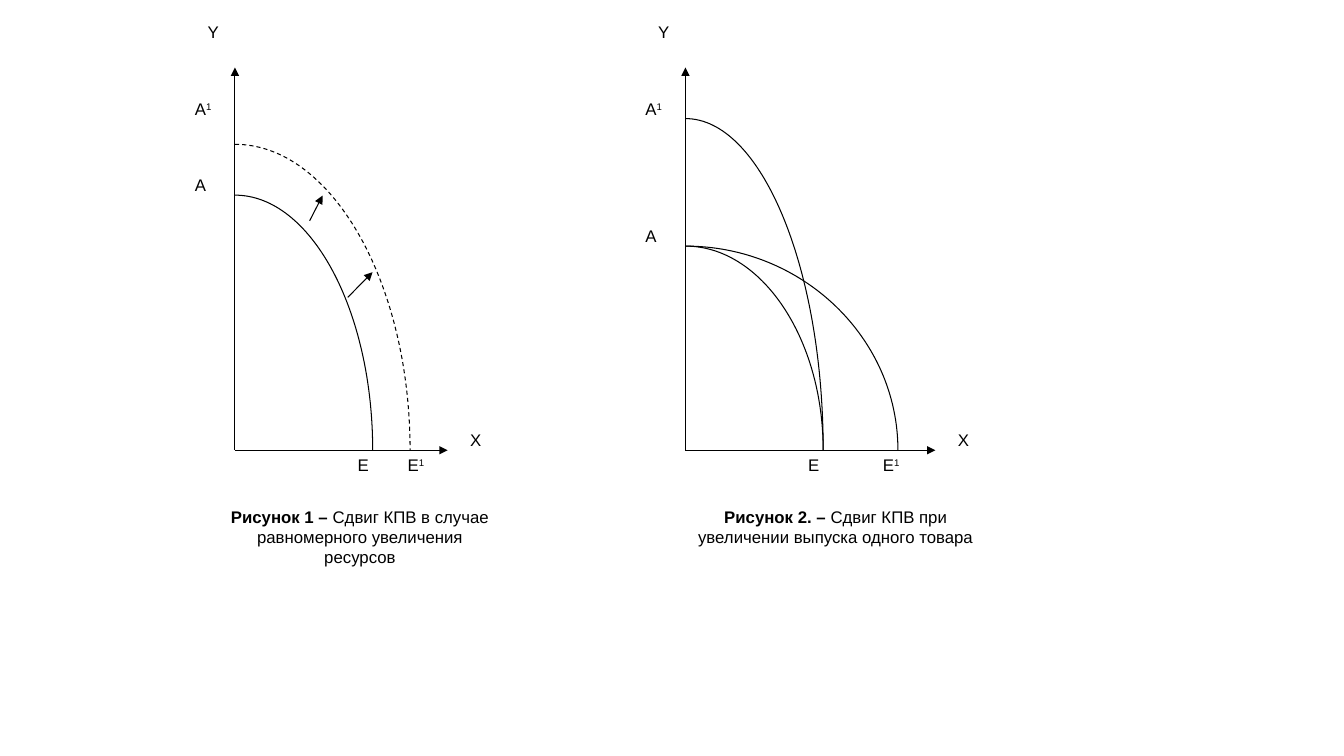
from lxml import etree
from pptx import Presentation
from pptx.dml.color import RGBColor
from pptx.enum import dml, shapes, text
from pptx.oxml import ns
from pptx.util import Pt

INK = RGBColor.from_string("000000")
BASE, TIP = 321.6, 48.2
BEND = 0.55  # handle length of a quarter ellipse

deck = Presentation()
deck.slide_width, deck.slide_height = Pt(960), Pt(540)
slide = deck.slides.add_slide(deck.slide_layouts[6])


def add_text(parts, x, y, w, h, align=text.PP_ALIGN.LEFT):
    box = slide.shapes.add_textbox(Pt(x), Pt(y), Pt(w), Pt(h))
    box.text_frame.word_wrap = True
    para = box.text_frame.paragraphs[0]
    para.alignment = align
    for part in parts:
        run = para.add_run()
        run.text = part
        run.font.name, run.font.size = "Arial", Pt(12)
        run.font.color.rgb = INK
    return para.runs


def add_arrow(x1, y1, x2, y2):
    arrow = slide.shapes.add_connector(
        shapes.MSO_CONNECTOR.STRAIGHT, Pt(x1), Pt(y1), Pt(x2), Pt(y2))
    arrow.line.color.rgb = INK
    arrow.line.width = Pt(0.75)
    etree.SubElement(arrow.line._get_or_add_ln(), ns.qn("a:tailEnd"), type="triangle")
    etree.SubElement(arrow._element.spPr, ns.qn("a:effectLst"))


# Each graph: origin x, axis length, curves (width, height, dashed),
# top of A label, E1 label offset, Y label height, caption left and wording
graphs = [
    (167.8, 152, [(98.4, 182.2, False), (125.1, 218.5, True)], 121, 116.3, 54.7,
     149.8, ["Рисунок 1 –", " Сдвиг КПВ в случае равномерного увеличения ресурсов"]),
    (489.6, 178.6, [(98.4, 236.9, False), (151.8, 145.8, False), (98.4, 145.8, False)],
     157.7, 133.9, 36.7,
     489.6, ["Рисунок 2. –", " Сдвиг КПВ при увеличении выпуска одного товара"]),
]

for left, reach, curves, a_top, e_off, y_high, cap_x, caption in graphs:
    # Axes
    add_arrow(left, BASE, left, TIP)
    add_arrow(left, BASE, left + reach, BASE)

    # Quarter-ellipse curves: the straight segment becomes one Bezier segment
    for wide, high, dashed in curves:
        pen = slide.shapes.build_freeform(Pt(left), Pt(BASE - high))
        pen.add_line_segments([(Pt(left + wide), Pt(BASE))], close=False)
        curve = pen.convert_to_shape()
        line = next(curve._element.iter(ns.qn("a:lnTo")))
        bow = etree.Element(ns.qn("a:cubicBezTo"))
        w, h = curve.width, curve.height
        for x, y in [(BEND * w, 0), (w, (1 - BEND) * h), (w, h)]:
            etree.SubElement(bow, ns.qn("a:pt"), x=str(round(x)), y=str(round(y)))
        line.getparent().replace(line, bow)
        curve.shadow.inherit = False
        curve.fill.background()
        curve.line.color.rgb = INK
        curve.line.width = Pt(0.75)
        if dashed:
            curve.line.dash_style = dml.MSO_LINE.DASH

    # Axis and point labels
    labels = [("Y", -26.6, 12.2, y_high), ("X", reach + 9, 303.1, 54.7),
              ("A1", -35.7, 67, 54.7), ("A", -35.7, a_top, 54.7),
              ("E", 80.6, BASE, 54.7), ("E1", e_off, BASE, 54.7)]
    for mark, dx, top, tall in labels:
        runs = add_text(mark, left + dx, top, 36 if len(mark) == 1 else 44.6, tall)
        for run in runs[1:]:
            run._r.get_or_add_rPr().set("baseline", "30000")

    # Caption
    runs = add_text(caption, cap_x, 358.2, 214.6, 109.4, text.PP_ALIGN.CENTER)
    runs[0].font.bold = True

# Shift arrows between the curves of the first graph
for ends in [(221.2, 157.7, 230.4, 139.7), (248.4, 212.4, 266.1, 194.4)]:
    add_arrow(*ends)

deck.save("out.pptx")
